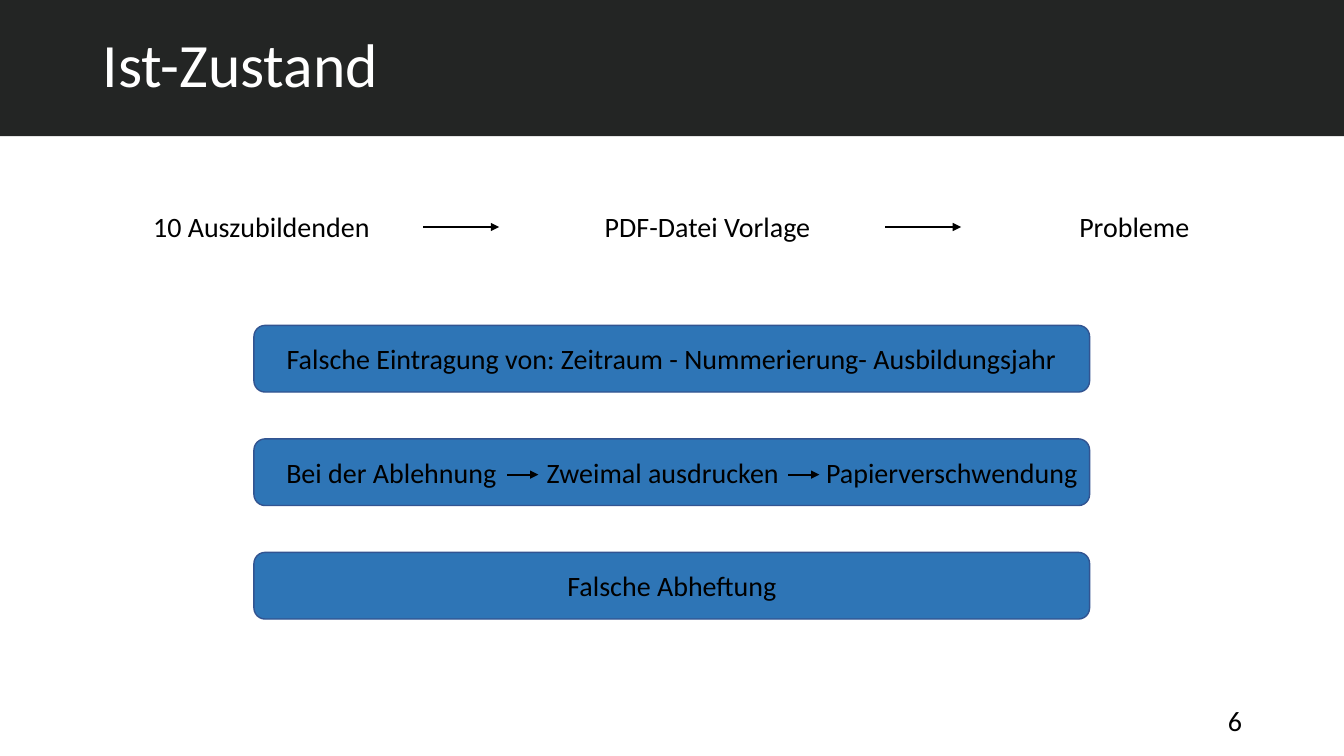
from lxml import etree
from pptx import Presentation
from pptx.dml.color import RGBColor
from pptx.enum.shapes import MSO_CONNECTOR, MSO_SHAPE
from pptx.enum.text import MSO_ANCHOR, PP_ALIGN
from pptx.oxml.ns import qn
from pptx.util import Cm, Pt

STRAIGHT = MSO_CONNECTOR.STRAIGHT
RECT = MSO_SHAPE.RECTANGLE
ROUNDED = MSO_SHAPE.FLOWCHART_ALTERNATE_PROCESS
LEFT, CENTER, RIGHT = PP_ALIGN.LEFT, PP_ALIGN.CENTER, PP_ALIGN.RIGHT
MIDDLE, TOP = MSO_ANCHOR.MIDDLE, MSO_ANCHOR.TOP

FONT = "Calibri"
BLACK, WHITE, DARK = "000000", "FFFFFF", "232524"
BLUE, BLUE_EDGE = "2E75B6", "325491"
SLIDE_W, SLIDE_H = 33.87, 19.05
FLOW_Y = 5.16
BOX_X, BOX_Y, BOX_W, BOX_H, BOX_STEP = 6.4, 8.2, 21.06, 1.68, 2.86
LABEL_H, LABEL_INSET = 1.12, 0.29


def color(value):
    return RGBColor.from_string(value)


def place(shape, x, y, w, h):
    shape.left, shape.top, shape.width, shape.height = Cm(x), Cm(y), Cm(w), Cm(h)


def write(tf, text, size, hue, align, anchor):
    tf.vertical_anchor = anchor
    p = tf.paragraphs[0]
    p.alignment = align
    r = p.add_run()
    r.text = text
    r.font.name = FONT
    r.font.size = Pt(size)
    r.font.color.rgb = color(hue)
    return p


def add_box(s, kind, x, y, w, h, fill, edge=None):
    box = s.shapes.add_shape(kind, Cm(x), Cm(y), Cm(w), Cm(h))
    box.shadow.inherit = False
    box.fill.solid()
    box.fill.fore_color.rgb = color(fill)
    if edge:
        box.line.color.rgb = color(edge)
        box.line.width = Pt(1)
    else:
        box.line.fill.background()
    return box


def add_label(s, text, x, y, w, align=CENTER, anchor=TOP, h=LABEL_H):
    tf = s.shapes.add_textbox(Cm(x), Cm(y), Cm(w), Cm(h)).text_frame
    tf.word_wrap = False
    write(tf, text, 20, BLACK, align, anchor)


def add_arrow(s, x, y, length):
    arrow = s.shapes.add_connector(STRAIGHT, Cm(x), Cm(y), Cm(x + length), Cm(y))
    arrow.line.color.rgb = color(BLACK)
    arrow.line.width = Pt(1.5)
    ln = arrow.line._get_or_add_ln()
    etree.SubElement(ln, qn("a:tailEnd"), type="triangle")
    etree.SubElement(ln.getparent(), qn("a:effectLst"))


def add_header(s, text):
    band = add_box(s, RECT, 0, 0, SLIDE_W, 3.43, DARK)
    title = s.shapes.title
    title.element.addprevious(band.element)
    place(title, 2.34, 0.5, 29.21, 2.41)
    title.text_frame.word_wrap = True
    p = write(title.text_frame, text, 44, WHITE, LEFT, MIDDLE)
    p.line_spacing = 0.9


def add_flow(s):
    for text, x, w in (
        ("10 Auszubildenden", 3.61, 6.17),
        ("PDF-Datei Vorlage", 14.99, 5.74),
        ("Probleme", 26.95, 3.33),
    ):
        add_label(s, text, x, FLOW_Y, w, LEFT)
    for x in (10.67, 22.31):
        add_arrow(s, x, FLOW_Y + LABEL_H / 2, 1.91)


def add_problems(s):
    problems = (
        (("Falsche Eintragung von: Zeitraum - Nummerierung- Ausbildungsjahr", 6.88, 20.09),),
        (
            ("Bei der Ablehnung", 6.88, 5.97),
            ("Zweimal ausdrucken", 13.49, 6.43),
            ("Papierverschwendung", 20.52, 6.93),
        ),
        (("Falsche Abheftung", 14, 5.87),),
    )
    for i, labels in enumerate(problems):
        y = BOX_Y + i * BOX_STEP
        add_box(s, ROUNDED, BOX_X, y, BOX_W, BOX_H, BLUE, BLUE_EDGE)
        for text, x, w in labels:
            add_label(s, text, x, y + LABEL_INSET, w)
    for x in (12.78, 19.86):
        add_arrow(s, x, BOX_Y + BOX_STEP + 0.9, 0.79)


def main():
    prs = Presentation()
    prs.slide_width, prs.slide_height = Cm(SLIDE_W), Cm(SLIDE_H)
    s = prs.slides.add_slide(prs.slide_layouts[5])
    add_header(s, "Ist-Zustand")
    add_flow(s)
    add_problems(s)
    add_label(s, "6", 23.93, 17.65, 7.62, RIGHT, MIDDLE, 1.02)
    prs.save("out.pptx")


if __name__ == "__main__":
    main()
